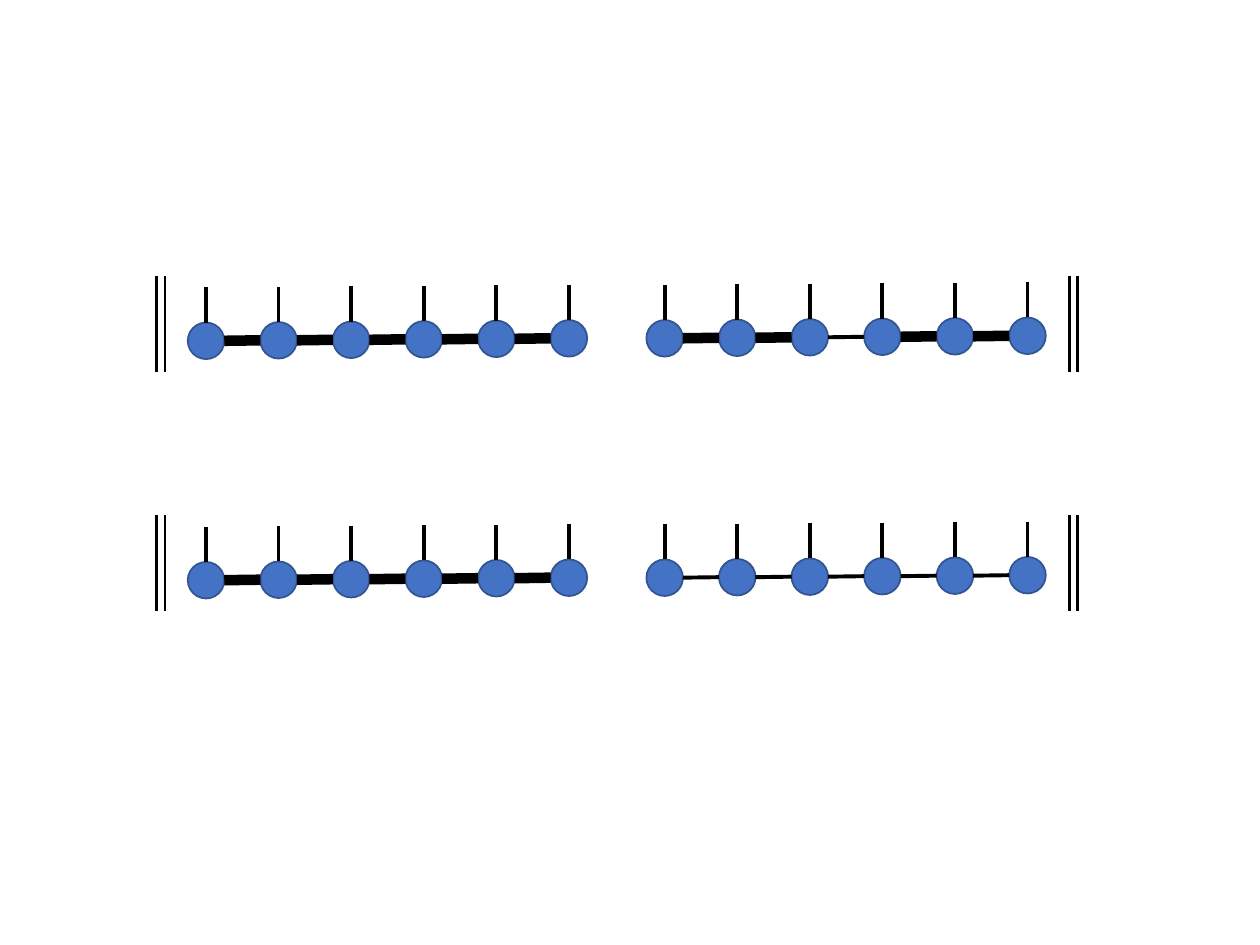
import pptx
import pptx.dml.color
import pptx.enum.shapes
import pptx.oxml.ns
import pptx.util
from lxml import etree

Inches = pptx.util.Inches
SIZE = 0.29    # dot diameter
STEP = 2.88 / 5    # from dot to dot
RISE = 0.02 / 5    # each dot sits a little higher than the last
STEM = 0.28
COUNT = 6
ROW_GAP = 1.9
THICK, THIN = 6, 2.25


def color(code):
    return pptx.dml.color.RGBColor.from_string(code)


class Sketch:
    ink = "000000"
    fill = "4472C4"
    edge = "325491"

    def __init__(self, slide):
        self.slide = slide

    def line(self, shapes, start, end, width):
        points = [Inches(v) for v in (*start, *end)]
        line = shapes.add_connector(
            pptx.enum.shapes.MSO_CONNECTOR.STRAIGHT, *points)
        line.line.color.rgb = color(self.ink)
        line.line.width = pptx.util.Pt(width)
        etree.SubElement(line._element.spPr, pptx.oxml.ns.qn("a:effectLst"))
        return line

    def dot(self, shapes, left, top):
        dot = shapes.add_shape(
            pptx.enum.shapes.MSO_SHAPE.OVAL,
            Inches(left), Inches(top), Inches(SIZE), Inches(SIZE))
        dot.shadow.inherit = False
        dot.fill.solid()
        dot.fill.fore_color.rgb = color(self.fill)
        dot.line.color.rgb = color(self.edge)
        dot.line.width = pptx.util.Pt(1)
        return dot

    def chain(self, left, top, bonds):
        """Draw a grouped row of dots with stems; bonds gives the link widths."""
        shapes = self.slide.shapes.add_group_shape().shapes
        spots = [(left + i * STEP, top - i * RISE) for i in range(COUNT)]
        for x, y in spots:
            mid = x + SIZE / 2
            dot = self.dot(shapes, x, y)
            stem = self.line(shapes, (mid, y), (mid, y - STEM), THIN)
            stem.begin_connect(dot, 0)
        for (x, y), (next_x, next_y), width in zip(spots, spots[1:], bonds):
            self.line(shapes, (next_x, next_y + SIZE / 2),
                      (x + SIZE, y + SIZE / 2), width)

    def bars(self, top):
        """Draw the double norm bars at both ends of a row."""
        for x in (1.31, 1.24, 8.55, 8.49):
            self.line(self.slide.shapes, (x, top), (x, top + 0.76), 1.5)


def main():
    deck = pptx.Presentation()
    deck.slide_width, deck.slide_height = Inches(10), Inches(7.5)
    sketch = Sketch(deck.slides.add_slide(deck.slide_layouts[6]))
    full = [THICK] * 5
    cut = [THICK, THICK, THIN, THICK, THICK]
    slim = [THIN] * 5
    for row, bonds in enumerate((cut, slim)):
        shift = row * ROW_GAP
        sketch.chain(1.49, 2.56 + shift, full)
        sketch.chain(5.13, 2.54 + shift, bonds)
        sketch.bars(2.19 + shift)
    deck.save("out.pptx")


if __name__ == "__main__":
    main()
